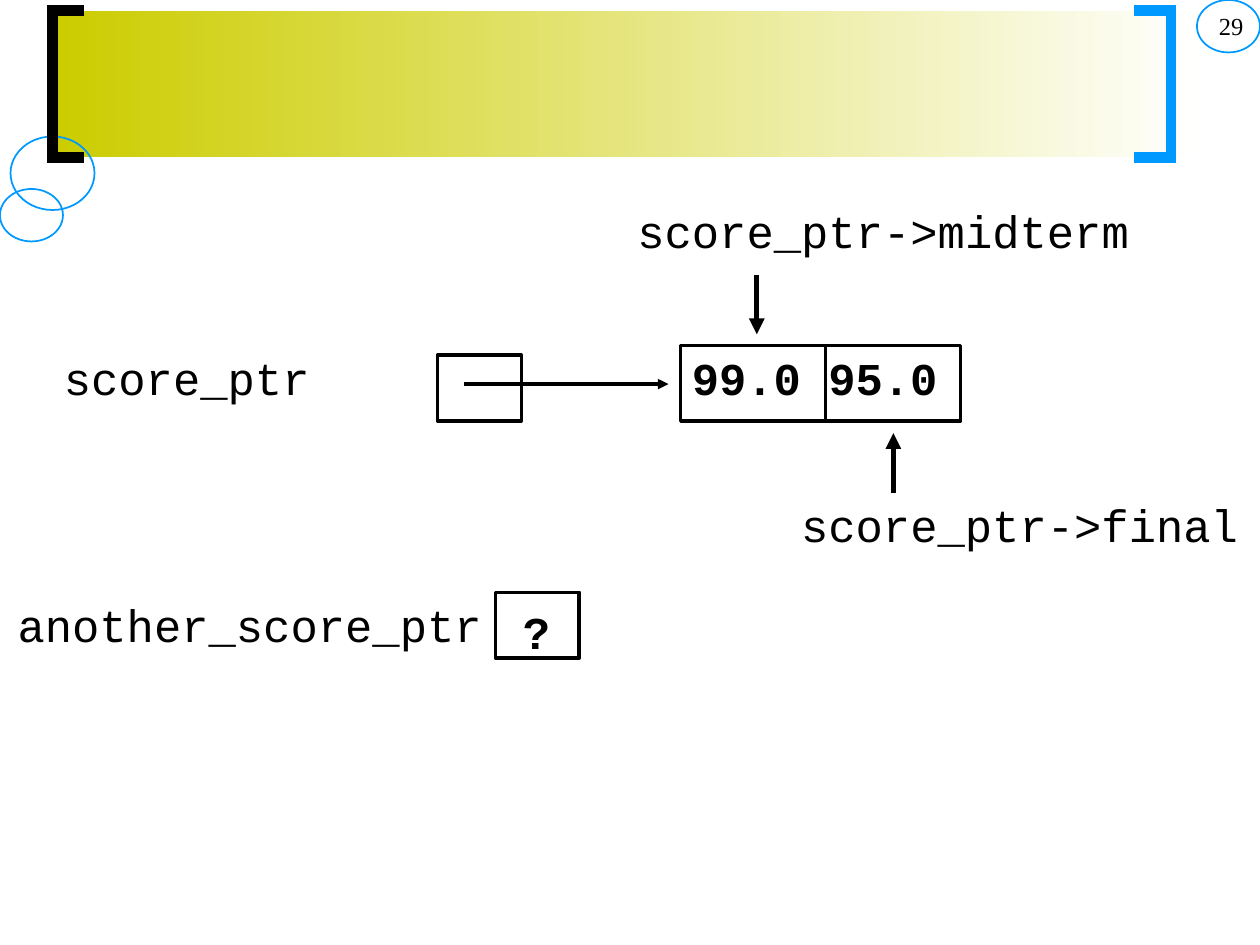
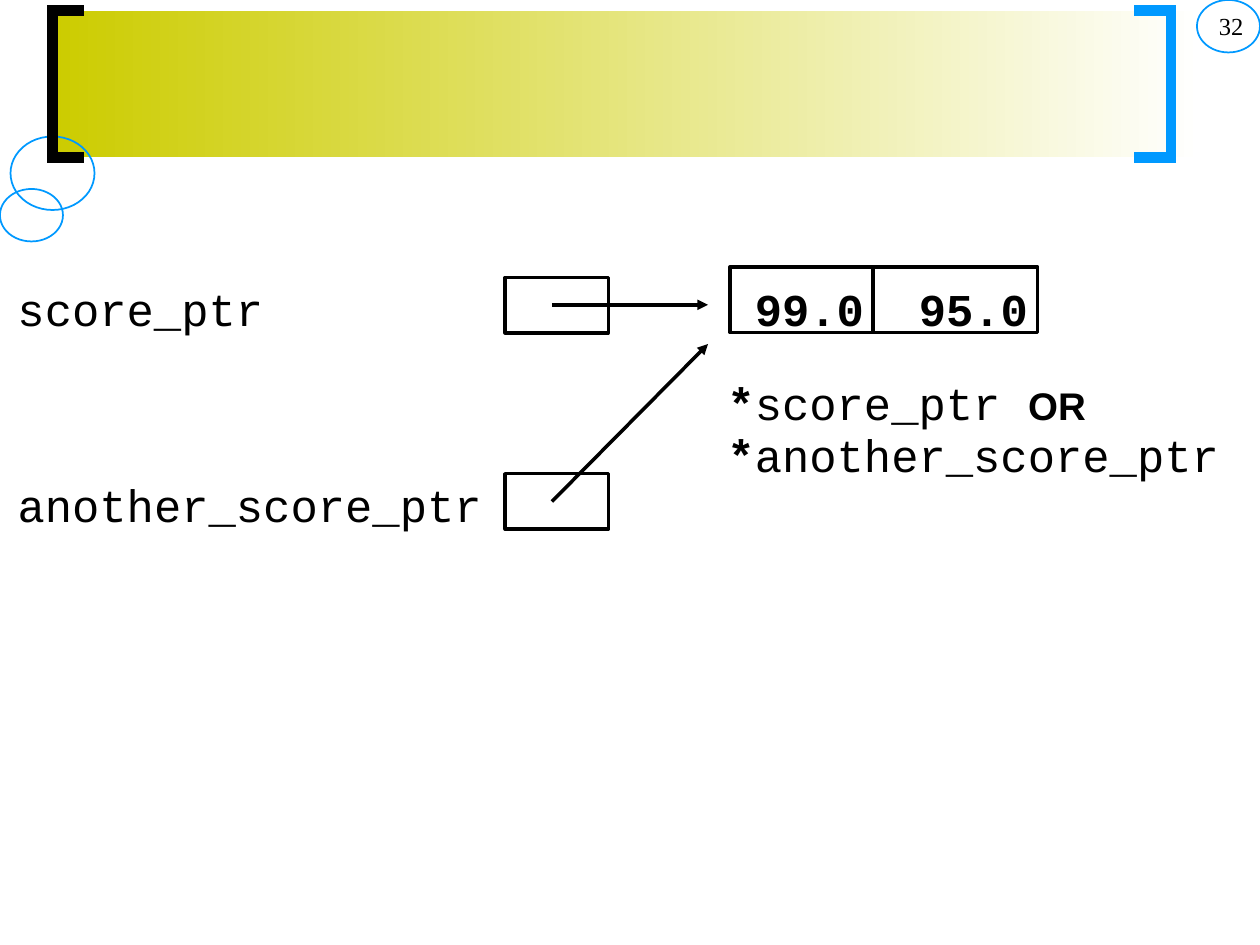
from dataclasses import dataclass

from lxml.etree import SubElement
from pptx import Presentation
from pptx.dml.color import RGBColor
from pptx.enum.shapes import MSO_CONNECTOR, MSO_SHAPE
from pptx.enum.text import MSO_ANCHOR, PP_ALIGN
from pptx.oxml.ns import qn
from pptx.util import Pt


@dataclass(frozen=True)
class Theme:
    ink: RGBColor = RGBColor(0x00, 0x00, 0x00)
    paper: RGBColor = RGBColor(0xFF, 0xFF, 0xFF)
    olive: RGBColor = RGBColor(0xCC, 0xCC, 0x00)
    blue: RGBColor = RGBColor(0x00, 0x99, 0xFF)
    code_font: str = "Courier New"
    word_font: str = "Arial"
    number_font: str = "Times New Roman"
    code_size: float = 26
    word_size: float = 22
    number_size: float = 14
    code_advance: float = 15.6  # width of one code character
    hairline: float = 1
    rule: float = 2
    heavy_rule: float = 3
    bracket_rule: float = 6


THEME = Theme()


# Text
def add_span(para, text, font=THEME.code_font, size=THEME.code_size, bold=False):
    span = para.add_run()
    span.text = text
    span.font.name = font
    span.font.size = Pt(size)
    span.font.bold = bold
    span.font.color.rgb = THEME.ink
    return span


def add_text_box(page, left, top, width, height):
    box = page.shapes.add_textbox(Pt(left), Pt(top), Pt(width), Pt(height))
    frame = box.text_frame
    frame.word_wrap = True
    frame.vertical_anchor = MSO_ANCHOR.TOP
    frame.margin_left = frame.margin_right = 0
    frame.margin_top = frame.margin_bottom = 0
    return frame


def add_code(page, text, left, top, bold=False):
    """Place one line of code, its box as wide as its characters."""
    width = (len(text) + 0.5) * THEME.code_advance
    frame = add_text_box(page, left, top, width, 30)
    add_span(frame.paragraphs[0], text, bold=bold)


# Shapes and lines
def add_outline(page, kind, left, top, width, height, color=THEME.ink, weight=THEME.rule):
    shape = page.shapes.add_shape(kind, Pt(left), Pt(top), Pt(width), Pt(height))
    shape.shadow.inherit = False
    shape.fill.background()
    shape.line.color.rgb = color
    shape.line.width = Pt(weight)
    return shape


def add_cell(page, left, top, width, height):
    return add_outline(page, MSO_SHAPE.RECTANGLE, left, top, width, height)


def add_line(page, start, end, weight=THEME.rule, arrow=True):
    line = page.shapes.add_connector(
        MSO_CONNECTOR.STRAIGHT, Pt(start[0]), Pt(start[1]), Pt(end[0]), Pt(end[1]))
    line.line.color.rgb = THEME.ink
    line.line.width = Pt(weight)
    if arrow:
        SubElement(line.line._get_or_add_ln(), qn("a:tailEnd"), type="triangle")
    SubElement(line._element.spPr, qn("a:effectLst"))
    return line


def add_record(page, left, top, width, height, divider):
    """Draw a two-field record split at the divider position."""
    add_cell(page, left, top, width, height)
    add_line(page, (divider, top), (divider, top + height), arrow=False)


def add_bracket(page, tip, spine, top, bottom, color):
    builder = page.shapes.build_freeform(Pt(tip), Pt(top))
    corners = [(spine, top), (spine, bottom), (tip, bottom)]
    builder.add_line_segments([(Pt(x), Pt(y)) for x, y in corners], close=False)
    bracket = builder.convert_to_shape()
    bracket.shadow.inherit = False
    bracket.fill.background()
    bracket.line.color.rgb = color
    bracket.line.width = Pt(THEME.bracket_rule)
    SubElement(bracket.line._get_or_add_ln(), qn("a:miter"), lim="800000")


# Shared frame of every page
def add_band(page):
    band = page.shapes.add_shape(
        MSO_SHAPE.RECTANGLE, Pt(30), Pt(6), Pt(657), Pt(84))
    band.shadow.inherit = False
    band.line.fill.background()
    band.fill.gradient()
    band.fill.gradient_angle = 0
    for stop, color in zip(band.fill.gradient_stops, (THEME.olive, THEME.paper)):
        stop.color.rgb = color


def add_page(deck, number):
    page = deck.slides.add_slide(deck.slide_layouts.get_by_name("Blank"))
    add_band(page)
    for bounds in ((6, 78, 48, 42), (0, 108, 36, 30), (684, 0, 36, 30)):
        add_outline(page, MSO_SHAPE.OVAL, *bounds,
                    color=THEME.blue, weight=THEME.hairline)
    add_bracket(page, 48, 30, 6, 90, THEME.ink)
    add_bracket(page, 648, 669, 6, 90, THEME.blue)

    para = add_text_box(page, 684, 6, 26.6, 18).paragraphs[0]
    para.alignment = PP_ALIGN.RIGHT
    add_span(para, number, font=THEME.number_font, size=THEME.number_size)
    return page


# Pages
def build_member_access(deck):
    page = add_page(deck, "29")

    # Pointer and the record it refers to
    add_code(page, "score_ptr", 36.5, 200)
    add_cell(page, 250, 203, 48, 37.5)
    add_record(page, 389, 197.5, 160, 43, divider=471.6)
    add_code(page, "99.0", 395.3, 200, bold=True)
    add_code(page, "95.0", 473.3, 200, bold=True)
    add_line(page, (265, 219.5), (382, 219.5))

    # Member names
    add_code(page, "score_ptr->midterm", 364.2, 116)
    add_line(page, (432.5, 157), (432.5, 191), weight=THEME.heavy_rule)
    add_code(page, "score_ptr->final", 457.8, 284)
    add_line(page, (510.5, 281.5), (510.5, 247.5), weight=THEME.heavy_rule)

    # Pointer without a value
    add_code(page, "another_score_ptr", 10, 341.3)
    add_cell(page, 283, 338.5, 48, 37.5)
    add_code(page, "?", 298.8, 345, bold=True)


def build_shared_target(deck):
    page = add_page(deck, "32")

    # Two pointers and their arrows
    pointers = [("score_ptr", 160.6, 158.5, 174.2, 174.2),
                ("another_score_ptr", 272.6, 270.7, 286.6, 196.6)]
    for name, text_top, cell_top, arrow_start, arrow_end in pointers:
        add_code(page, name, 10, text_top)
        add_cell(page, 288.7, cell_top, 59, 31.7)
        add_line(page, (315.4, arrow_start), (404.6, arrow_end))

    # Shared record
    add_record(page, 417, 152.6, 176, 37.4, divider=499)
    add_code(page, "99.0", 431.3, 160.6, bold=True)
    add_code(page, "95.0", 525, 160.6, bold=True)

    # Equivalent names of the record
    frame = add_text_box(page, 415.7, 216.6, 296, 58)
    first, second = frame.paragraphs[0], frame.add_paragraph()
    for para, name in ((first, "score_ptr "), (second, "another_score_ptr")):
        para.line_spacing = 0.95
        add_span(para, "*", bold=True)
        add_span(para, name)
    add_span(first, "OR", font=THEME.word_font, size=THEME.word_size, bold=True)


def main():
    deck = Presentation()
    deck.slide_width, deck.slide_height = Pt(720), Pt(540)
    build_member_access(deck)
    build_shared_target(deck)
    deck.save("out.pptx")


if __name__ == "__main__":
    main()
